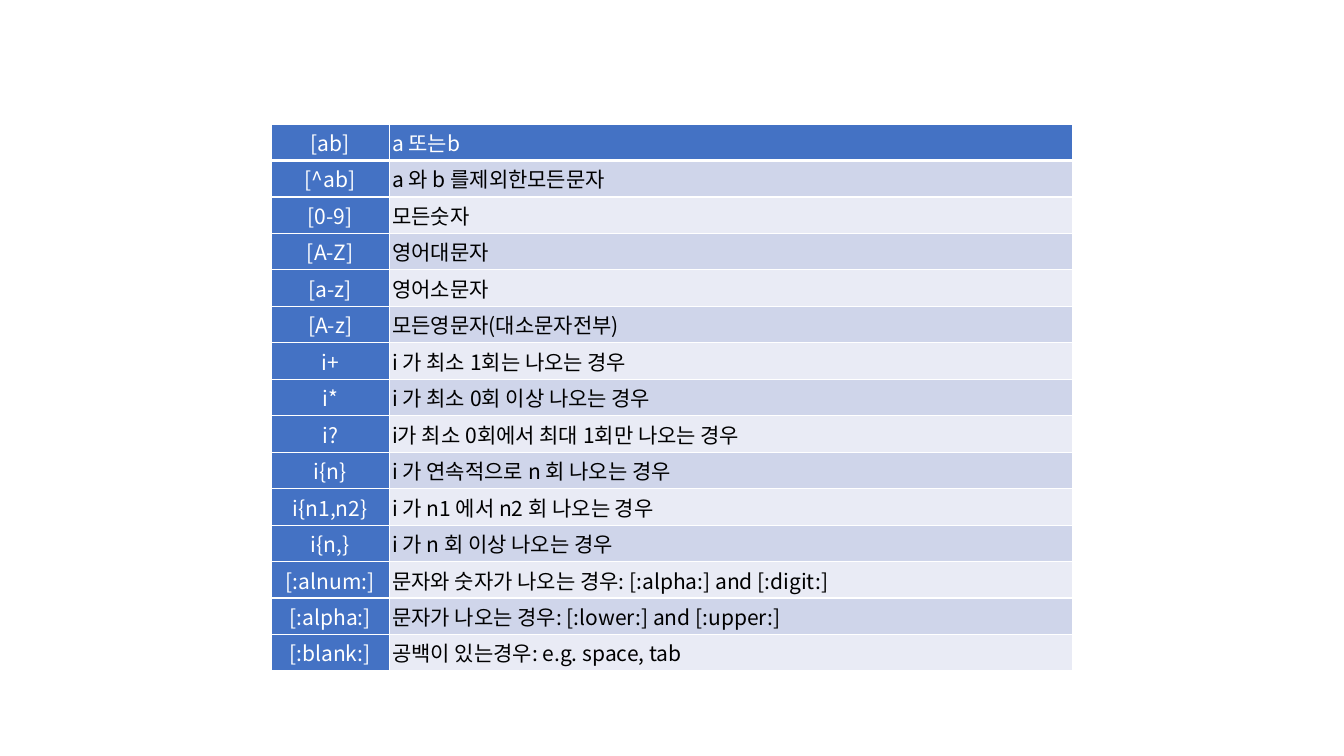
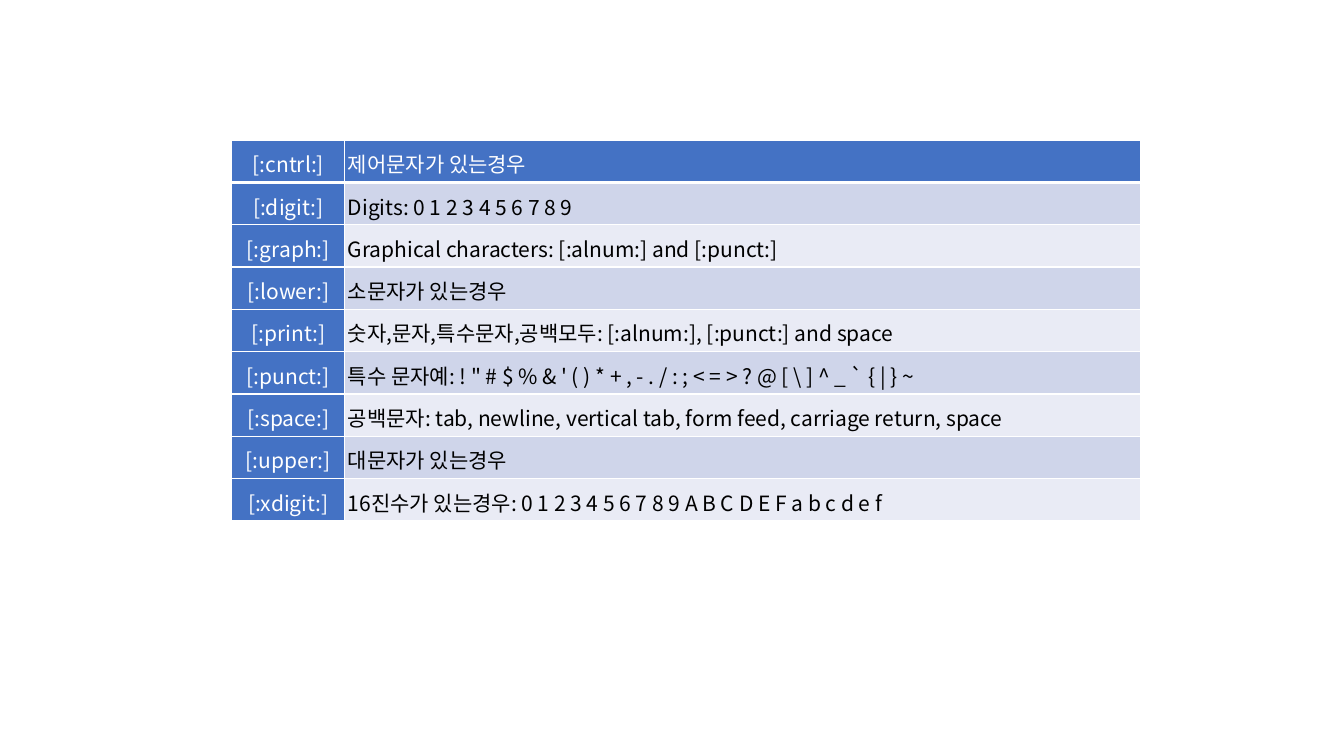
from dataclasses import dataclass

from lxml.etree import SubElement
from pptx import Presentation
from pptx.dml.color import RGBColor
from pptx.enum.text import MSO_ANCHOR as Anchor, PP_ALIGN as Align
from pptx.oxml.ns import qn
from pptx.util import Inches, Pt


@dataclass(frozen=True)
class Theme:
    accent: str = "4472C4"
    dark_band: str = "CFD5EA"
    light_band: str = "E9EBF5"
    light: str = "FFFFFF"
    ink: str = "000000"
    font: str = "Noto Sans CJK KR"
    text_size: float = 15
    inset: float = 0.03
    thin: float = 1
    thick: float = 3


def write_text(frame, text, *, font, size, color, align, spacing=None):
    paragraph = frame.paragraphs[0]
    paragraph.alignment = align
    if spacing:
        paragraph.line_spacing = spacing
    run = paragraph.add_run()
    run.text = text
    run.font.name = font
    run.font.size = Pt(size)
    run.font.bold = False
    run.font.color.rgb = RGBColor.from_string(color)
    SubElement(run.font._element, qn("a:ea"), typeface=font)


class Deck:
    def __init__(self, theme):
        self.theme = theme
        self.presentation = Presentation()
        self.presentation.slide_width = Inches(13.33)
        self.presentation.slide_height = Inches(7.5)
        self.slide = None

    def add_slide(self):
        self.slide = self.presentation.slides.add_slide(self.presentation.slide_layouts[6])

    def add_border(self, cell, side, width):
        properties = cell._tc.get_or_add_tcPr()
        line = SubElement(properties, qn(f"a:ln{side}"), w=str(Pt(width)))
        fill = SubElement(line, qn("a:solidFill"))
        SubElement(fill, qn("a:srgbClr"), val=self.theme.light)

    def format_cell(self, cell, text, row, column, spacing):
        theme = self.theme
        is_header = row == 0 or column == 0
        band = theme.dark_band if row % 2 else theme.light_band
        cell.margin_left = cell.margin_right = Inches(theme.inset)
        cell.margin_top = cell.margin_bottom = Inches(theme.inset)
        cell.vertical_anchor = Anchor.MIDDLE
        for side in "LRTB":
            is_thick = row == 0 and side == "B"
            self.add_border(cell, side, theme.thick if is_thick else theme.thin)
        cell.fill.solid()
        cell.fill.fore_color.rgb = RGBColor.from_string(theme.accent if is_header else band)
        write_text(
            cell.text_frame, text,
            font=theme.font, size=theme.text_size,
            color=theme.light if is_header else theme.ink,
            align=Align.JUSTIFY if column else Align.CENTER,
            spacing=spacing,
        )

    def add_table(self, entries, left, top, widths, height, spacing=None):
        shape = self.slide.shapes.add_table(
            len(entries), len(widths),
            Inches(left), Inches(top), Inches(sum(widths)), Inches(height),
        )
        table = shape.table
        table.first_row = table.horz_banding = False
        for column, width in zip(table.columns, widths):
            column.width = Inches(width)
        for row, entry in enumerate(entries):
            table.rows[row].height = Inches(height / len(entries))
            for column, text in enumerate(entry):
                self.format_cell(table.cell(row, column), text, row, column, spacing)


PATTERNS = [
    ("[ab]", "a 또는b"),
    ("[^ab]", "a 와 b 를제외한모든문자"),
    ("[0-9]", "모든숫자"),
    ("[A-Z]", "영어대문자"),
    ("[a-z]", "영어소문자"),
    ("[A-z]", "모든영문자(대소문자전부)"),
    ("i+", "i 가 최소 1회는 나오는 경우"),
    ("i*", "i 가 최소 0회 이상 나오는 경우"),
    ("i?", "i가 최소 0회에서 최대 1회만 나오는 경우"),
    ("i{n}", "i 가 연속적으로 n 회 나오는 경우"),
    ("i{n1,n2}", "i 가 n1 에서 n2 회 나오는 경우"),
    ("i{n,}", "i 가 n 회 이상 나오는 경우"),
    ("[:alnum:]", "문자와 숫자가 나오는 경우: [:alpha:] and [:digit:]"),
    ("[:alpha:]", "문자가 나오는 경우: [:lower:] and [:upper:]"),
    ("[:blank:]", "공백이 있는경우: e.g. space, tab"),
]

CHARACTER_CLASSES = [
    ("[:cntrl:]", "제어문자가 있는경우"),
    ("[:digit:]", "Digits: 0 1 2 3 4 5 6 7 8 9"),
    ("[:graph:]", "Graphical characters: [:alnum:] and [:punct:]"),
    ("[:lower:]", "소문자가 있는경우"),
    ("[:print:]", "숫자,문자,특수문자,공백모두: [:alnum:], [:punct:] and space"),
    ("[:punct:]", "특수 문자예: ! \" # $ % & ' ( ) * + , - . / : ; < = > ? @ [ \\ ] ^ _ ` { | } ~"),
    ("[:space:]", "공백문자: tab, newline, vertical tab, form feed, carriage return, space"),
    ("[:upper:]", "대문자가 있는경우"),
    ("[:xdigit:]", "16진수가 있는경우: 0 1 2 3 4 5 6 7 8 9 A B C D E F a b c d e f"),
]

deck = Deck(Theme())

deck.add_slide()
deck.add_table(PATTERNS, left=2.69, top=1.23, widths=(1.17, 6.78), height=5.2)

deck.add_slide()
deck.add_table(CHARACTER_CLASSES, left=2.3, top=1.39, widths=(1.12, 7.89), height=3.78, spacing=1.15)

deck.presentation.save("out.pptx")
